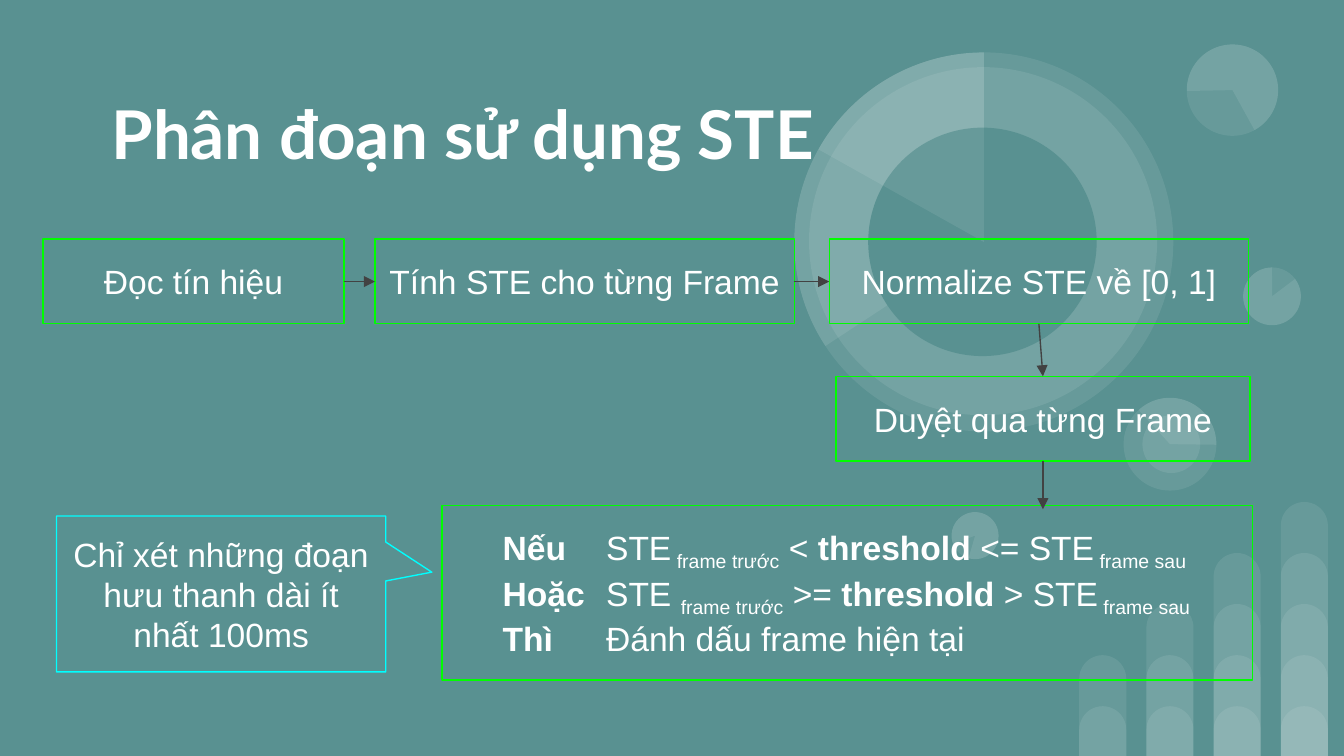
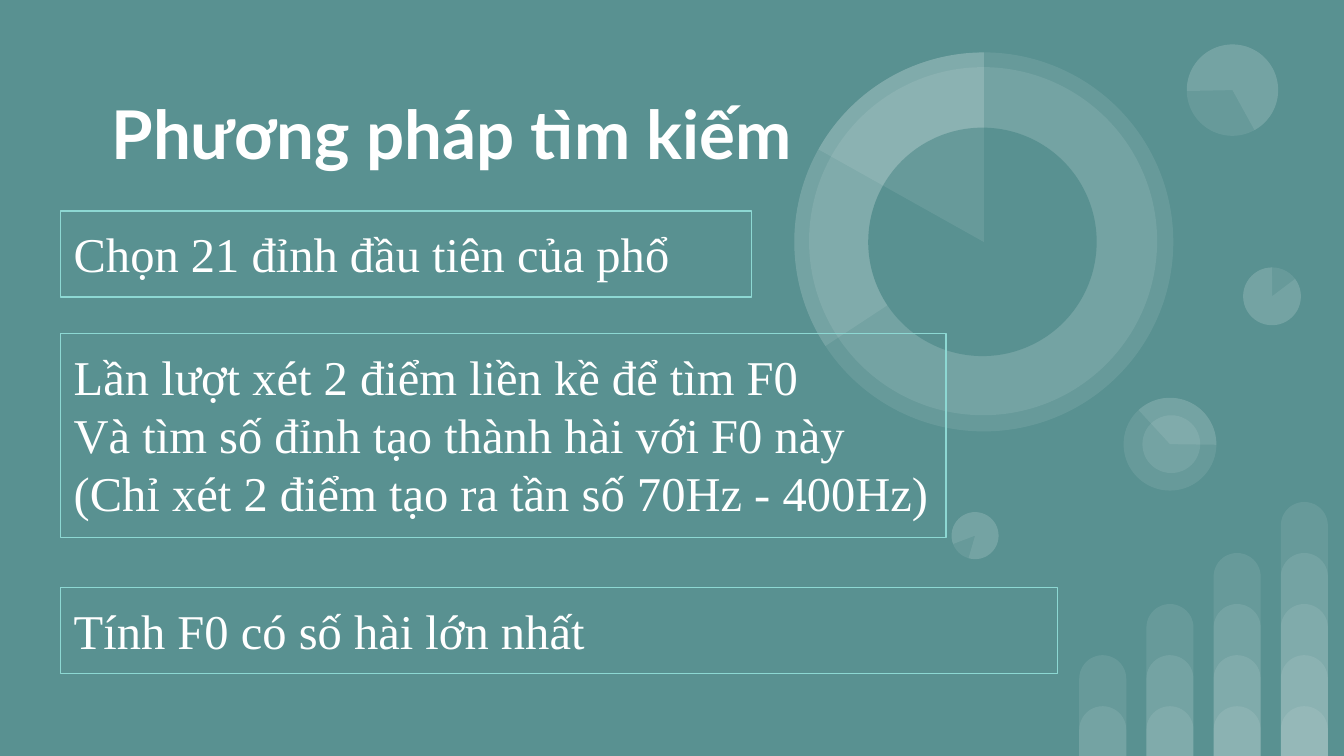
from lxml import etree
from pptx import Presentation
from pptx.dml.color import RGBColor
from pptx.enum.shapes import MSO_CONNECTOR, MSO_SHAPE
from pptx.enum.text import MSO_ANCHOR, MSO_AUTO_SIZE, PP_ALIGN
from pptx.oxml.ns import qn
from pptx.util import Inches, Pt

RECT = MSO_SHAPE.RECTANGLE
ELLIPSE = MSO_SHAPE.OVAL
PIE = MSO_SHAPE.PIE
BAR = MSO_SHAPE.ROUND_2_SAME_RECTANGLE
CALLOUT = MSO_SHAPE.ROUNDED_RECTANGULAR_CALLOUT
STRAIGHT = MSO_CONNECTOR.STRAIGHT
LEFT, CENTER = PP_ALIGN.LEFT, PP_ALIGN.CENTER
TOP, MIDDLE = MSO_ANCHOR.TOP, MSO_ANCHOR.MIDDLE
FIXED, GROW = MSO_AUTO_SIZE.NONE, MSO_AUTO_SIZE.SHAPE_TO_FIT_TEXT
SIDE_TOP, SIDE_LEFT, SIDE_BOTTOM, SIDE_RIGHT = range(4)

COLORS = {
    "background": "599191",
    "text": "FFFFFF",
    "step": "00FF00",
    "note": "00FFFF",
    "method": "8DD8D3",
    "arrow": "424242",
}
SLIDE_W = 10
SLIDE_H = SLIDE_W * 9 / 16
OPACITY = 9
OUTLINE = Pt(0.75)
INSET = 0.1

DISCS = [
    (9.25, 1.99, 0.43, 0, None),
    (7.08, 3.81, 0.35, 196.2, None),
    (8.36, 2.96, 0.69, 90, None),
    (8.36, 2.96, 0.69, 90, (137.41, 270.77)),
    (8.5, 3.09, 0.43, 90, None),
    (9.25, 1.99, 0.43, 0, (322.95, 270)),
    (8.83, 0.33, 0.68, 215.9, None),
    (8.83, 0.33, 0.68, 215.9, (322.95, 205.23)),
    (7.08, 3.81, 0.35, 196.2, (322.95, 270)),
    (5.91, 0.39, 2.82, 0, None),
    (6.02, 0.5, 2.59, 34.1, None),
    (5.91, 0.39, 2.82, 0, (146.69, 270)),
]
RING_HOLE = (6.46, 0.95, 1.7, 34.1, None)
RING_SECTOR = (5.91, 0.39, 2.82, 0, (209.24, 270))

STEPS = [
    ("Đọc tín hiệu", (0.32, 1.78, 2.24, 0.63)),
    ("Tính STE cho từng Frame", (2.79, 1.78, 3.12, 0.63)),
    ("Normalize STE về [0, 1]", (6.17, 1.78, 3.12, 0.63)),
    ("Duyệt qua từng Frame", (6.22, 2.8, 3.08, 0.63)),
]
RULES = [
    [("Nếu", "bold"), ("\tSTE", ""), (" frame trước", "sub"), (" < ", ""),
     ("threshold ", "bold"), ("<= STE", ""), (" frame sau", "sub")],
    [("Hoặc", "bold"), ("\tSTE ", ""), ("frame trước", "sub"), (" >= ", ""),
     ("threshold ", "bold"), ("> STE", ""), (" frame sau", "sub")],
    [("Thì", "bold"), ("\tĐánh dấu frame hiện tại", "")],
]
METHODS = [
    (["Chọn 21 đỉnh đầu tiên của phổ"], (0.45, 1.57, 5.14, 0.64)),
    (["Lần lượt xét 2 điểm liền kề để tìm F0",
      "Và tìm số đỉnh tạo thành hài với F0 này",
      "(Chỉ xét 2 điểm tạo ra tần số 70Hz - 400Hz)"], (0.45, 2.48, 6.59, 1.52)),
    (["Tính F0 có số hài lớn nhất"], (0.45, 4.37, 7.42, 0.64)),
]


def rgb(name):
    return RGBColor.from_string(COLORS[name])


def inches(values):
    return [Inches(value) for value in values]


def paint(shape, color, opacity=100):
    shape.shadow.inherit = False
    shape.line.fill.background()
    shape.fill.solid()
    shape.fill.fore_color.rgb = rgb(color)
    if opacity < 100:
        tint = shape.element.spPr.find(".//" + qn("a:srgbClr"))
        etree.SubElement(tint, qn("a:alpha"), val=str(opacity * 1000))


def add_bars(group):
    for column in range(4):
        for level in range(column + 2):
            height = 0.37 + 0.38 * level
            bar = group.shapes.add_shape(
                BAR, *inches((8.03 + 0.5 * column, SLIDE_H - height, 0.35, height)))
            bar.adjustments[0] = 0.5
            paint(bar, "text", OPACITY)


def add_disc(group, disc, color="text", opacity=OPACITY):
    left, top, size, rotation, angles = disc
    shape = group.shapes.add_shape(
        PIE if angles else ELLIPSE, *inches((left, top, size, size)))
    shape.rotation = rotation
    for index, angle in enumerate(angles or ()):
        shape.adjustments[index] = angle * 0.6
    paint(shape, color, opacity)


def prepare_layout(layout):
    layout.background.fill.solid()
    layout.background.fill.fore_color.rgb = rgb("background")
    title, *spare_holders = list(layout.placeholders)
    for holder in spare_holders:
        holder.element.getparent().remove(holder.element)
    title.left, title.top, title.width, title.height = inches((0.73, 0.41, 9, 1.15))
    set_frame(title.text_frame, MIDDLE, FIXED)


def decorate_layout(layout, slide):
    bars = slide.shapes.add_group_shape()
    add_bars(bars)
    discs = slide.shapes.add_group_shape()
    for disc in DISCS:
        add_disc(discs, disc)
    add_disc(discs, RING_HOLE, "background", 100)
    add_disc(discs, RING_SECTOR)
    for group in (bars, discs):
        layout.shapes.element.append(group.element)


def set_frame(frame, anchor, fit, left_inset=INSET):
    frame.word_wrap = True
    frame.auto_size = fit
    frame.vertical_anchor = anchor
    frame.margin_left = Inches(left_inset)
    frame.margin_top = frame.margin_right = frame.margin_bottom = Inches(INSET)


def add_run(paragraph, text, font, size, style=""):
    run = paragraph.add_run()
    run.text = text
    run.font.name = font
    run.font.size = Pt(size)
    run.font.bold = style == "bold"
    run.font.color.rgb = rgb("text")
    if style == "sub":
        run._r.get_or_add_rPr().set("baseline", "-25000")


def write_lines(frame, lines, font, size, align):
    for index, line in enumerate(lines):
        paragraph = frame.add_paragraph() if index else frame.paragraphs[0]
        paragraph.alignment = align
        for text, style in line:
            add_run(paragraph, text, font, size, style)


def set_tab(paragraph, position):
    tabs = etree.SubElement(paragraph._p.get_or_add_pPr(), qn("a:tabLst"))
    etree.SubElement(tabs, qn("a:tab"), pos=str(Inches(position)), algn="l")


def add_box(slide, place, lines, color, kind=RECT, font="Arial", size=18,
            align=CENTER, anchor=MIDDLE, fit=FIXED, left_inset=INSET):
    box = slide.shapes.add_shape(kind, *inches(place))
    box.shadow.inherit = False
    box.fill.background()
    box.line.color.rgb = rgb(color)
    box.line.width = OUTLINE
    set_frame(box.text_frame, anchor, fit, left_inset)
    write_lines(box.text_frame, lines, font, size, align)
    return box


def add_arrow(slide, start, start_side, end=None, end_side=None, tip=(0, 0)):
    arrow = slide.shapes.add_connector(STRAIGHT, start.left, start.top, *inches(tip))
    arrow.begin_connect(start, start_side)
    if end is not None:
        arrow.end_connect(end, end_side)
    arrow.line.color.rgb = rgb("arrow")
    arrow.line.width = OUTLINE
    outline = arrow.element.spPr.find(qn("a:ln"))
    etree.SubElement(outline, qn("a:tailEnd"), type="triangle")
    etree.SubElement(arrow.element.spPr, qn("a:effectLst"))


def add_titled_slide(deck, layout, title):
    slide = deck.slides.add_slide(layout)
    write_lines(slide.shapes.title.text_frame, [[(title, "bold")]], "Lato", 36, LEFT)
    return slide


def fill_segmentation(slide):
    read, energy, normalize, scan = [
        add_box(slide, place, [[(text, "")]], "step") for text, place in STEPS]
    rules = add_box(slide, (3.29, 3.76, 6.03, 1.3), RULES, "step",
                    align=LEFT, left_inset=0.45)
    for paragraph in rules.text_frame.paragraphs:
        set_tab(paragraph, 0.77)
    add_arrow(slide, read, SIDE_RIGHT, energy, SIDE_LEFT)
    add_arrow(slide, energy, SIDE_RIGHT, normalize, SIDE_LEFT)
    add_arrow(slide, normalize, SIDE_BOTTOM, scan, SIDE_TOP)
    add_arrow(slide, scan, SIDE_BOTTOM, tip=(7.76, 3.79))
    note = add_box(slide, (0.42, 3.84, 2.45, 1.16),
                   [[("Chỉ xét những đoạn hưu thanh dài ít nhất 100ms", "")]],
                   "note", kind=CALLOUT)
    for index, value in enumerate((0.64, -0.14, 0)):
        note.adjustments[index] = value


def fill_search(slide):
    for texts, place in METHODS:
        add_box(slide, place, [[(text, "")] for text in texts], "method",
                font="Times New Roman", size=26, align=LEFT, anchor=TOP, fit=GROW)


def main():
    deck = Presentation()
    deck.slide_width, deck.slide_height = inches((SLIDE_W, SLIDE_H))
    layout = deck.slide_layouts[0]
    prepare_layout(layout)
    segmentation = add_titled_slide(deck, layout, "Phân đoạn sử dụng STE")
    decorate_layout(layout, segmentation)
    fill_segmentation(segmentation)
    fill_search(add_titled_slide(deck, layout, "Phương pháp tìm kiếm"))
    deck.save("out.pptx")


if __name__ == "__main__":
    main()
